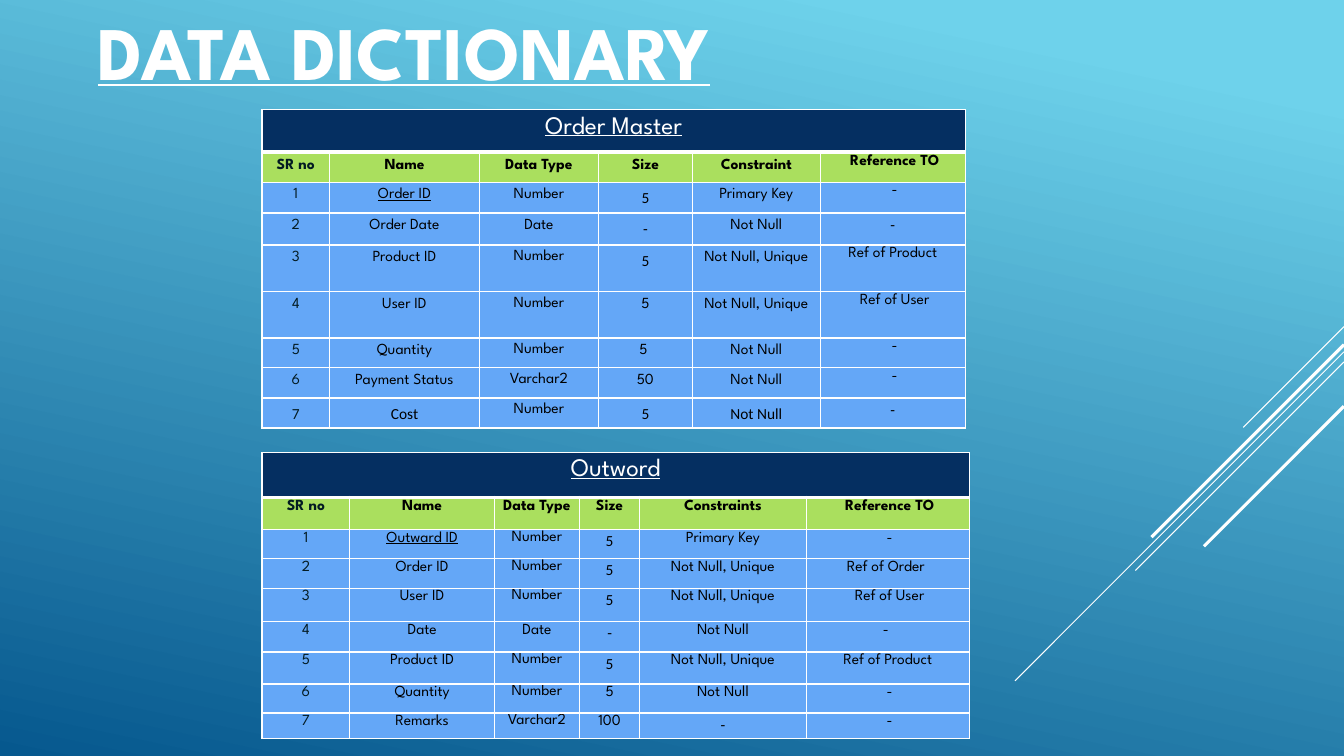
from pptx import Presentation
from pptx.dml.color import RGBColor
from pptx.enum.shapes import MSO_CONNECTOR
from pptx.enum.text import MSO_ANCHOR, PP_ALIGN
from pptx.oxml.ns import qn
from pptx.util import Pt
from lxml.etree import SubElement

WHITE = RGBColor(0xFF, 0xFF, 0xFF)
BLACK = RGBColor(0x00, 0x00, 0x00)
INK = RGBColor(0x03, 0x1B, 0x22)
NAVY = RGBColor(0x05, 0x2F, 0x61)
LIME = RGBColor(0xAA, 0xDF, 0x5E)
SKY = RGBColor(0x64, 0xA7, 0xF7)
GLOW = RGBColor(0x6E, 0xD2, 0xEB)
DEEP = RGBColor(0x06, 0x58, 0x8E)

SLIDE_WIDTH, SLIDE_HEIGHT = 960, 540
MAIN_FONT, PLAIN_FONT = "League Spartan", "Calibri"
TYPE_COLUMN, REFERENCE_COLUMN = 2, 5

# Cell margins: left, top, right, bottom
ROOMY = (7.2, 3.6, 7.2, 3.6)
TIGHT = (0.72, 0.72, 0.72, 0)
SLIM = (5, 0.72, 5, 0)

ORDER_MASTER = {
    "title": "Order Master",
    "title_margins": (6.5, 3.6, 6.5, 3.6),
    "margins": ROOMY,
    "reference_margins": TIGHT,
    "widths": (48.2, 107.1, 85, 67.1, 91.4, 103.6),
    "heights": (27.9, 19.3, 22, 22.9, 33.2, 33.2, 19.8, 21.5, 21.5),
    "rows": (
        ("SR no", "Name", "Data Type", "Size", "Constraint", " Reference TO"),
        ("1", "Order ID", "Number", "5", "Primary Key", " -"),
        ("2", "Order Date", "Date", "-", "Not Null", "-"),
        ("3", "Product ID", "Number", "5", "Not Null, Unique", "Ref of Product"),
        ("4", "User ID", "Number", "5", "Not Null, Unique", " Ref of User"),
        ("5", "Quantity", "Number", "5 ", "Not Null", " -"),
        ("6", "Payment Status", "Varchar2", "50", "Not Null", " -"),
        ("7", "Cost", "Number", "5", "Not Null", "-"),
    ),
    # (row, column) of the cells set in the plain font
    "plain": {(1, 3), (2, 3), (2, 5), (3, 3),
              (7, 0), (7, 1), (7, 3), (7, 4), (7, 5)},
}

OUTWORD = {
    "title": "Outword",
    "title_margins": (5, 3.6, 5, 3.6),
    "margins": SLIM,
    "reference_margins": SLIM,
    "widths": (62.7, 103.4, 60.6, 43.2, 118.8, 116.6),
    "heights": (32, 22.9, 21, 21, 23.9, 21.7, 22.9, 20.7, 18.2),
    "rows": (
        ("SR no", "Name", "Data Type", "Size", "Constraints", " Reference TO"),
        ("1", "Outward ID", "Number", "5", "Primary Key", " -"),
        ("2", "Order ID", "Number", "5", "Not Null, Unique", "Ref of Order "),
        ("3", "User ID", "Number", "5", "Not Null, Unique", " Ref of User"),
        ("4", "Date", "Date", "-", "Not Null", "- "),
        ("5", "Product ID", "Number", "5", "Not Null, Unique", "Ref of Product"),
        ("6", "Quantity", "Number", "5", "Not Null", " -"),
        ("7", "Remarks", "Varchar2", "100", "-", " -"),
    ),
    "plain": {(1, 3), (2, 3), (3, 3), (4, 3), (5, 3), (7, 4)},
}

# Top on the right edge, run down to the left, line width
RAYS = ((233.3, 72, 0.75), (251.3, 235, 0.75), (258.5, 149, 0.75),
        (246.2, 137.5, 2.25), (290.2, 100, 2.25))


def paint_background(slide):
    fill = slide.background.fill
    fill.gradient()
    fill.gradient_angle = 258
    for stop, color, position in zip(fill.gradient_stops, (GLOW, DEEP), (0.1, 1)):
        stop.color.rgb = color
        stop.position = position


def add_rays(slide, right):
    """Diagonal strokes that run at 45 degrees from the right edge."""
    for top, run, width in RAYS:
        ray = slide.shapes.add_connector(
            MSO_CONNECTOR.STRAIGHT, Pt(right), Pt(top), Pt(right - run), Pt(top + run))
        ray.line.color.rgb = WHITE
        ray.line.width = Pt(width)
        SubElement(ray._element.spPr, qn("a:effectLst"))


def write(frame, text, size, color, font=MAIN_FONT, bold=False, underline=False):
    """Set one centred paragraph and return it."""
    frame.text = text
    paragraph = frame.paragraphs[0]
    paragraph.alignment = PP_ALIGN.CENTER
    style = paragraph.runs[0].font
    style.name, style.size = font, Pt(size)
    style.bold, style.underline = bold, underline
    style.color.rgb = color
    return paragraph


def add_heading(slide, left, top, width, height):
    heading = slide.shapes.add_textbox(Pt(left), Pt(top), Pt(width), Pt(height))
    frame = heading.text_frame
    frame.word_wrap = True
    frame.vertical_anchor = MSO_ANCHOR.MIDDLE
    write(frame, "DATA DICTIONARY", 54, WHITE, bold=True, underline=True)


def dress_cell(cell, color, margins, bottom_width=1):
    """Give a cell its margins, white borders and fill."""
    (cell.margin_left, cell.margin_top,
     cell.margin_right, cell.margin_bottom) = map(Pt, margins)
    properties = cell._tc.get_or_add_tcPr()
    for side, width in zip("LRTB", (1, 1, 1, bottom_width)):
        border = SubElement(properties, qn(f"a:ln{side}"), w=str(Pt(width)))
        border_fill = SubElement(border, qn("a:solidFill"))
        SubElement(border_fill, qn("a:srgbClr"), val=str(WHITE))
    cell.fill.solid()
    cell.fill.fore_color.rgb = color


def space_lines(paragraph):
    paragraph.line_spacing = 1.07
    paragraph.space_after = Pt(8)


def add_dictionary(slide, entity, left, top):
    """Table with a title row, a header row and one row for each field."""
    widths, heights = entity["widths"], entity["heights"]
    table = slide.shapes.add_table(
        len(heights), len(widths), Pt(left), Pt(top),
        Pt(sum(widths)), Pt(sum(heights))).table
    table.first_row = table.horz_banding = False
    for column, width in zip(table.columns, widths):
        column.width = Pt(width)
    for row, height in zip(table.rows, heights):
        row.height = Pt(height)

    for cell in table.rows[0].cells:
        dress_cell(cell, NAVY, entity["title_margins"], bottom_width=3)
    title = table.cell(0, 0)
    title.merge(table.cell(0, len(widths) - 1))
    space_lines(write(title.text_frame, entity["title"], 18, WHITE, underline=True))

    for r, fields in enumerate(entity["rows"]):
        header = r == 0
        for c, text in enumerate(fields):
            cell = table.cell(r + 1, c)
            margins = entity["reference_margins" if c == REFERENCE_COLUMN else "margins"]
            dress_cell(cell, LIME if header else SKY, margins)
            paragraph = write(
                cell.text_frame, text, 11, INK if c == 0 else BLACK,
                font=PLAIN_FONT if (r, c) in entity["plain"] else MAIN_FONT,
                bold=header, underline=(r, c) == (1, 1))
            if header or c != TYPE_COLUMN or text == "Date":
                space_lines(paragraph)


def main():
    deck = Presentation()
    deck.slide_width, deck.slide_height = Pt(SLIDE_WIDTH), Pt(SLIDE_HEIGHT)
    slide = deck.slides.add_slide(deck.slide_layouts[6])
    paint_background(slide)
    add_rays(slide, SLIDE_WIDTH)
    add_heading(slide, -49.7, -0.7, 676.8, 72.7)
    add_dictionary(slide, ORDER_MASTER, 187.2, 78.5)
    add_dictionary(slide, OUTWORD, 187.2, 323.3)
    deck.save("out.pptx")


if __name__ == "__main__":
    main()
